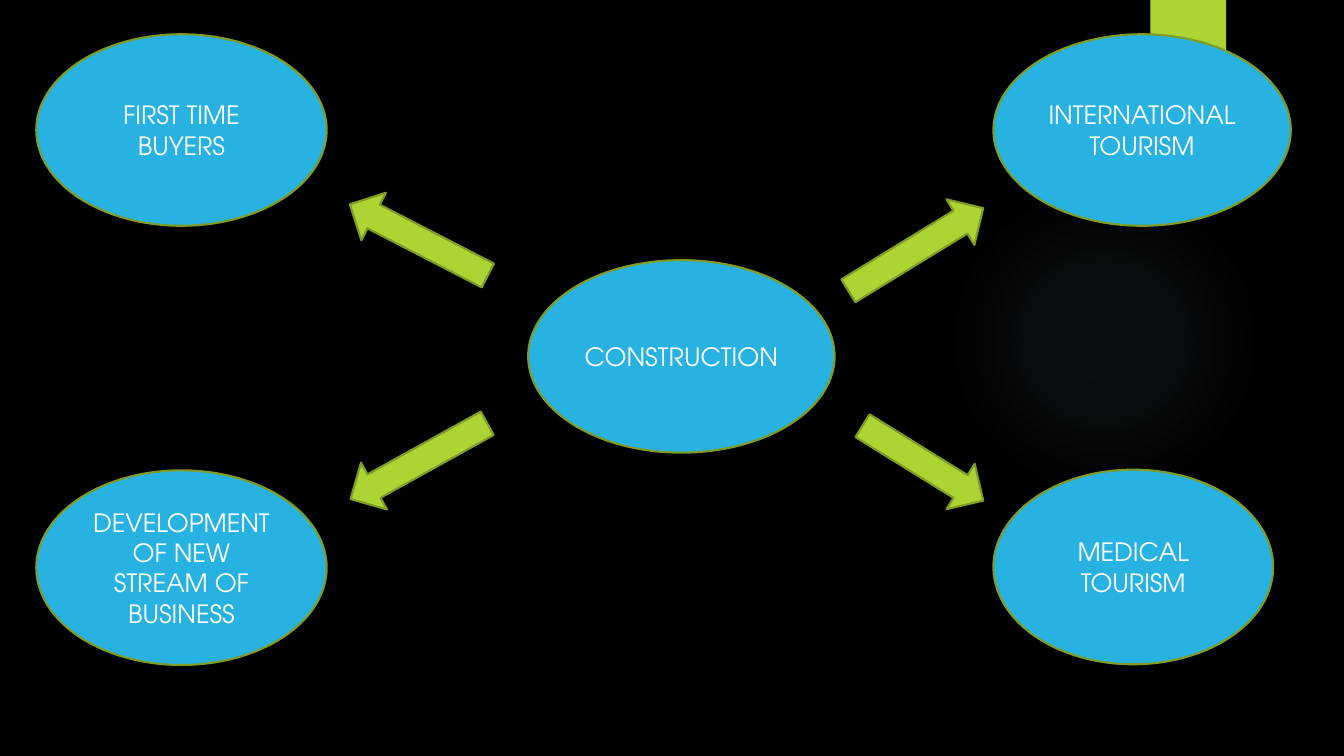
from dataclasses import dataclass

from pptx import Presentation
from pptx.dml.color import RGBColor
from pptx.enum.shapes import MSO_SHAPE
from pptx.enum.text import MSO_ANCHOR, PP_ALIGN
from pptx.oxml import parse_xml
from pptx.oxml.ns import nsdecls, qn
from pptx.shapes.autoshape import Shape
from pptx.slide import Slide
from pptx.util import Pt

OVAL = MSO_SHAPE.OVAL
RECTANGLE = MSO_SHAPE.RECTANGLE
UP_ARROW = MSO_SHAPE.UP_ARROW
MIDDLE = MSO_ANCHOR.MIDDLE
CENTER = PP_ALIGN.CENTER

FONT = "TeX Gyre Adventor"
BLACK = "000000"
WHITE = "FFFFFF"
BLUE = "27B2E1"
GREEN = "ACD433"
OLIVE = "7F9D26"
GLOW = "7AC4F0"
GLOW_STOPS = ((0, 7), (36, 6), (69, 0))  # position and opacity, in percent
ARROW_WIDTH = 38.2


@dataclass(frozen=True)
class Topic:
    label: str
    left: float
    top: float
    width: float
    height: float


@dataclass(frozen=True)
class Arrow:
    left: float
    top: float
    length: float
    rotation: float


TOPICS = (
    Topic("FIRST TIME BUYERS", 25.9, 24.5, 207.4, 136.8),
    Topic("INTERNATIONAL TOURISM", 709.6, 24.5, 212.4, 136.8),
    Topic("CONSTRUCTION", 377.3, 185.8, 218.9, 137.5),
    Topic("DEVELOPMENT OF NEW STREAM OF BUSINESS", 25.9, 336, 207.4, 139),
    Topic("MEDICAL TOURISM", 709.6, 335.5, 199.8, 139),
)
ARROWS = (
    Arrow(280.1, 115.9, 110.9, 297.3),
    Arrow(635, 121.7, 113, 58.5),
    Arrow(280.1, 273.6, 111.6, 241),
    Arrow(640.1, 280.1, 101.5, 121.8),
)


def color(value: str) -> RGBColor:
    return RGBColor.from_string(value)


def add_filled(page: Slide, kind: MSO_SHAPE, left: float, top: float,
               width: float, height: float, fill: str, outline: str = "") -> Shape:
    shape = page.shapes.add_shape(kind, Pt(left), Pt(top), Pt(width), Pt(height))
    shape.shadow.inherit = False
    shape.fill.solid()
    shape.fill.fore_color.rgb = color(fill)
    if outline:
        shape.line.color.rgb = color(outline)
        shape.line.width = Pt(1.5)
    else:
        shape.line.fill.background()
    return shape


def add_glow(page: Slide) -> None:
    """Add a faint round light that fades out towards its edge."""
    glow = add_filled(page, OVAL, 677.5, 131.8, 221.8, 221.8, GLOW)
    stops = "".join(
        f'<a:gs pos="{position * 1000}"><a:srgbClr val="{GLOW}">'
        f'<a:alpha val="{opacity * 1000}"/></a:srgbClr></a:gs>'
        for position, opacity in GLOW_STOPS
    )
    gradient = parse_xml(
        f'<a:gradFill {nsdecls("a")} rotWithShape="1"><a:gsLst>{stops}</a:gsLst>'
        '<a:path path="circle"><a:fillToRect l="50000" t="50000" r="50000" b="50000"/>'
        '</a:path></a:gradFill>'
    )
    properties = glow.element.spPr
    properties.replace(properties.find(qn("a:solidFill")), gradient)


def add_topic(page: Slide, topic: Topic) -> None:
    oval = add_filled(page, OVAL, topic.left, topic.top, topic.width, topic.height,
                      BLUE, OLIVE)
    frame = oval.text_frame
    frame.word_wrap = True
    frame.vertical_anchor = MIDDLE
    frame.text = topic.label
    para = frame.paragraphs[0]
    para.alignment = CENTER
    font = para.runs[0].font
    font.name = FONT
    font.size = Pt(18)
    font.color.rgb = color(WHITE)


def add_arrow(page: Slide, arrow: Arrow) -> None:
    shape = add_filled(page, UP_ARROW, arrow.left, arrow.top, ARROW_WIDTH,
                       arrow.length, GREEN, OLIVE)
    shape.rotation = arrow.rotation


def main() -> None:
    deck = Presentation()
    deck.slide_width, deck.slide_height = Pt(960), Pt(540)
    page = deck.slides.add_slide(deck.slide_layouts[6])
    page.background.fill.solid()
    page.background.fill.fore_color.rgb = color(BLACK)

    add_glow(page)
    add_filled(page, RECTANGLE, 821.8, 0, 54, 90, GREEN)
    for topic in TOPICS:
        add_topic(page, topic)
    for arrow in ARROWS:
        add_arrow(page, arrow)
    deck.save("out.pptx")


if __name__ == "__main__":
    main()
